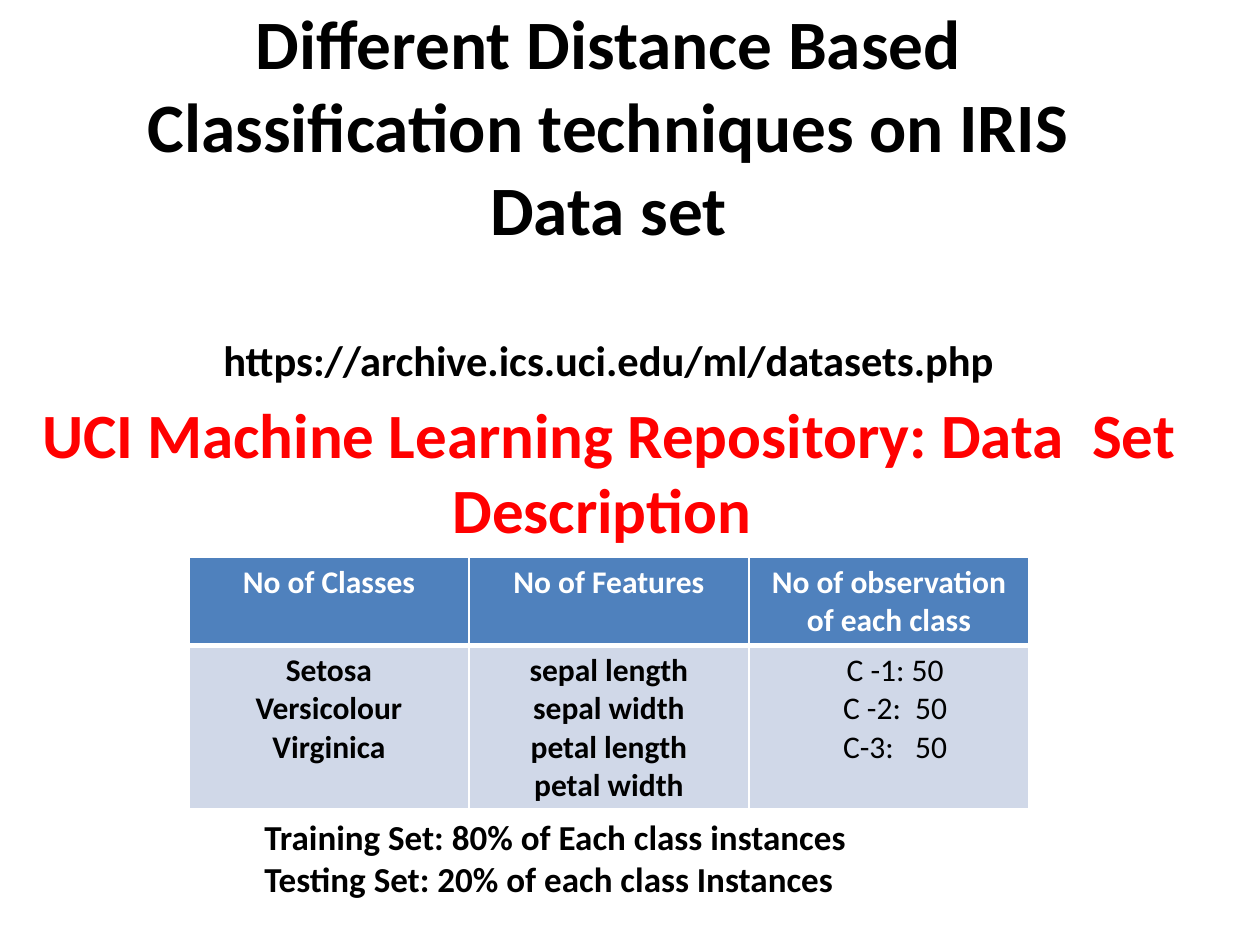
from lxml.etree import SubElement
from pptx import Presentation
from pptx.dml.color import RGBColor
from pptx.enum.text import MSO_ANCHOR, MSO_AUTO_SIZE, PP_ALIGN as Align
from pptx.oxml.ns import qn
from pptx.util import Emu, Pt

BLACK = RGBColor(0x00, 0x00, 0x00)
WHITE = RGBColor(0xFF, 0xFF, 0xFF)
RED = RGBColor(0xFF, 0x00, 0x00)
HEADER_BLUE = RGBColor(0x4F, 0x81, 0xBD)
BODY_BLUE = RGBColor(0xD0, 0xD8, 0xE8)
FONT = "Calibri"

HEADERS = ["No of Classes", "No of Features", "No of observation of each class"]
DETAILS = [
    ["Setosa", "Versicolour", "Virginica"],
    ["sepal length", "sepal width", "petal length", "petal width"],
    ["C -1: 50", "C -2:  50", "C-3:   50"],
]


def px(count):
    return Emu(round(count * 914400 / 126))


def write(frame, lines, size, color, align=Align.CENTER, bold=True):
    frame.word_wrap = True
    for index, line in enumerate(lines):
        para = frame.paragraphs[0] if index == 0 else frame.add_paragraph()
        para.text = line
        para.alignment = align
        para.font.name = FONT
        para.font.size = Pt(size)
        para.font.bold = bold
        para.font.color.rgb = color


def add_title(page, lines):
    title = page.shapes.title
    title.left, title.top, title.width, title.height = map(px, (73, 91, 1071, 203))
    frame = title.text_frame
    write(frame, lines, 39.6, BLACK)
    frame.auto_size = MSO_AUTO_SIZE.NONE
    frame.vertical_anchor = MSO_ANCHOR.MIDDLE
    address = frame.paragraphs[-1]
    address.font.size = Pt(24.3)
    address.space_before = Pt(48)


def add_text(page, place, lines, size, color, align):
    box = page.shapes.add_textbox(*map(px, place))
    write(box.text_frame, lines, size, color, align)


def set_borders(cell, bottom_width):
    properties = cell._tc.get_or_add_tcPr()
    for side, width in (("L", 1), ("R", 1), ("T", 1), ("B", bottom_width)):
        line = SubElement(properties, qn(f"a:ln{side}"), w=str(Pt(width)))
        fill = SubElement(line, qn("a:solidFill"))
        SubElement(fill, qn("a:srgbClr"), val=str(WHITE))


def fill_cell(cell, lines, color, background, bottom_width, bold=True):
    set_borders(cell, bottom_width)
    cell.fill.solid()
    cell.fill.fore_color.rgb = background
    write(cell.text_frame, lines, 18, color, bold=bold)


def add_data_table(page):
    table = page.shapes.add_table(2, 3, *map(px, (189, 557, 840, 252))).table
    for row, height in zip(table.rows, (88, 164)):
        row.height = px(height)
    for index, (header, details) in enumerate(zip(HEADERS, DETAILS)):
        table.columns[index].width = px(280)
        counts = index == 2
        fill_cell(table.cell(0, index), [header], WHITE, HEADER_BLUE, 3)
        fill_cell(table.cell(1, index), details, BLACK, BODY_BLUE, 1, bold=not counts)
        if counts:
            table.cell(1, index).margin_left = px(25)


def main():
    deck = Presentation()
    deck.slide_width, deck.slide_height = px(1260), px(945)
    page = deck.slides.add_slide(deck.slide_layouts[0])
    subtitle = page.placeholders[1].element
    subtitle.getparent().remove(subtitle)

    add_title(page, [
        "Different Distance Based Classification techniques on IRIS Data set",
        "https://archive.ics.uci.edu/ml/datasets.php",
    ])
    add_text(page, (26, 389, 1166, 165),
             ["UCI Machine Learning Repository: Data  Set Description "],
             36, RED, Align.CENTER)
    add_data_table(page)
    add_text(page, (252, 809, 746, 97), [
        "Training Set: 80% of Each class instances",
        "Testing Set: 20% of each class Instances",
    ], 20, BLACK, Align.LEFT)
    deck.save("out.pptx")


if __name__ == "__main__":
    main()
